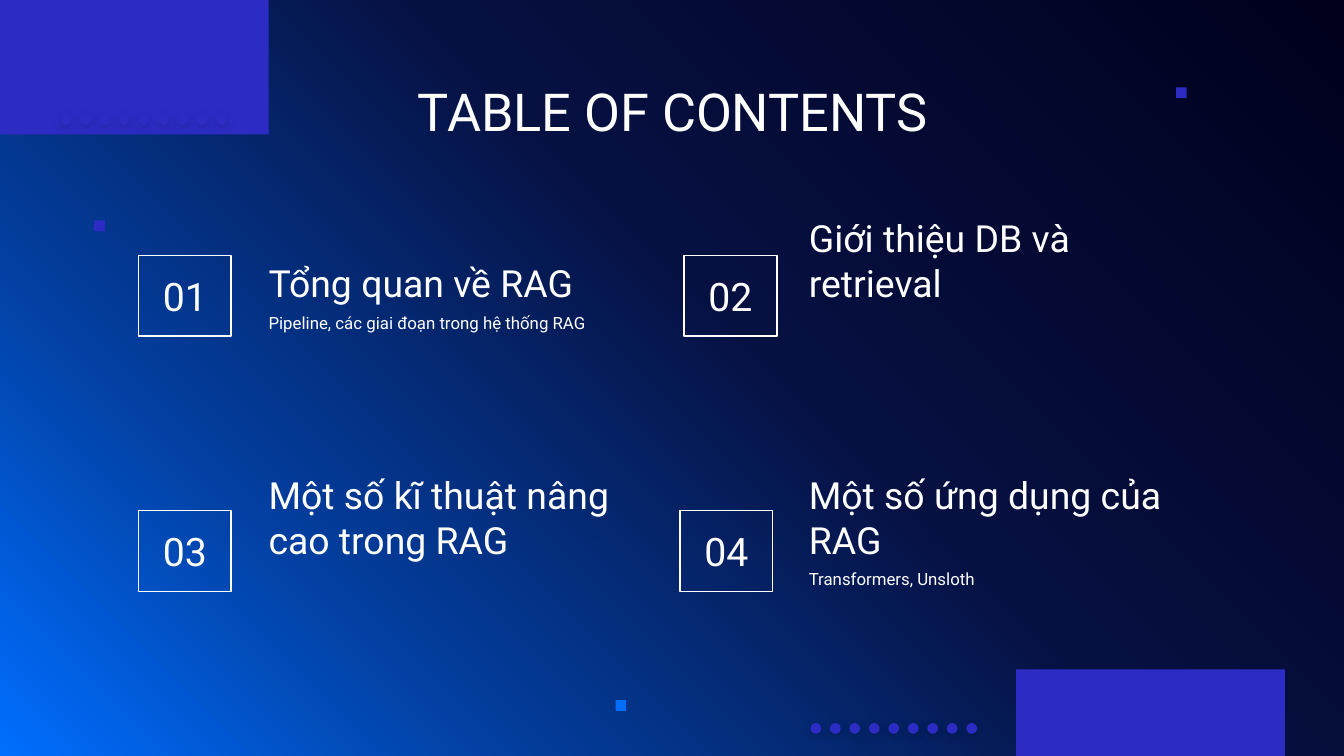
import lxml.etree
import pptx
import pptx.dml.color
import pptx.enum.shapes
import pptx.enum.text
import pptx.oxml
import pptx.oxml.ns
import pptx.util

Inches, Pt = pptx.util.Inches, pptx.util.Pt
RGBColor = pptx.dml.color.RGBColor
SHAPE = pptx.enum.shapes.MSO_SHAPE
ALIGN = pptx.enum.text.PP_ALIGN
ANCHOR = pptx.enum.text.MSO_ANCHOR
qn = pptx.oxml.ns.qn

WHITE = RGBColor(0xFF, 0xFF, 0xFF)
INDIGO = RGBColor(0x2C, 0x2C, 0xC5)
BLUE = RGBColor(0x00, 0x6E, 0xFF)
GLOW = [(0, BLUE), (24, RGBColor(0x03, 0x3F, 0xA0)),
        (56, RGBColor(0x06, 0x10, 0x41)), (100, RGBColor(0x00, 0x00, 0x1C))]
FONT = "Roboto"

# Corner panel outline: straight points, and curves as two controls and an end.
PANEL = [[(0, 0.65)], [(1.48, 0.65)], [(1.53, 0.65), (1.57, 0.63), (1.6, 0.6)],
         [(1.87, 0.33)], [(1.9, 0.3), (1.94, 0.28), (1.99, 0.28)],
         [(2.28, 0.28)], [(2.37, 0.28), (2.44, 0.21), (2.45, 0.13)],
         [(2.46, 0)]]

# Number, number box position, heading box, heading, note box, note
ENTRIES = [
    ("01", (1.03, 1.9), (1.9, 1.69, 3.04, 0.68), "Tổng quan về RAG",
     (1.9, 2.23, 3.04, 0.68), "Pipeline, các giai đoạn trong hệ thống RAG"),
    ("02", (5.09, 1.9), (5.92, 1.69, 3.04, 0.68), "Giới thiệu DB và retrieval",
     None, None),
    ("03", (1.03, 3.8), (1.9, 3.63, 3.04, 0.65),
     "Một số kĩ thuật nâng cao trong RAG", None, None),
    ("04", (5.06, 3.8), (5.92, 3.63, 3.04, 0.65), "Một số ứng dụng của RAG",
     (5.92, 4.13, 3.04, 0.68), "Transformers, Unsloth"),
]


def paint_background(s):
    """Radial glow centred on the bottom left corner."""
    fill = s.background.fill
    fill.gradient()
    grad = s.background._cSld.find(".//" + qn("a:gradFill"))
    for child in list(grad):
        grad.remove(child)
    stops = "".join(f'<a:gs pos="{pos * 1000}"><a:srgbClr val="{color}"/></a:gs>'
                    for pos, color in GLOW)
    ns = pptx.oxml.ns.nsdecls("a")
    grad.append(pptx.oxml.parse_xml(f"<a:gsLst {ns}>{stops}</a:gsLst>"))
    grad.append(pptx.oxml.parse_xml(
        f'<a:path {ns} path="circle"><a:fillToRect t="100000" r="100000"/></a:path>'))


def paint(sp, color):
    sp.shadow.inherit = False
    sp.fill.solid()
    sp.fill.fore_color.rgb = color
    sp.line.fill.background()


def bezier(start, c1, c2, end, steps=10):
    """Points along a cubic curve, without its start."""
    points = []
    for i in range(1, steps + 1):
        t = i / steps
        u = 1 - t
        points.append(tuple(u**3 * a + 3 * u * u * t * b + 3 * u * t * t * c + t**3 * d
                            for a, b, c, d in zip(start, c1, c2, end)))
    return points


def add_corner_panel(s, left, top, rotation=0):
    points = [(0, 0)]
    for step in PANEL:
        points += step if len(step) == 1 else bezier(points[-1], *step)
    builder = s.shapes.build_freeform(0, 0, scale=Inches(1))
    builder.add_line_segments(points[1:], close=True)
    sp = builder.convert_to_shape(Inches(left), Inches(top))
    sp.rotation = rotation
    paint(sp, INDIGO)


def add_mark(s, kind, left, top, color):
    sp = s.shapes.add_shape(kind, Inches(left), Inches(top), Inches(0.08), Inches(0.08))
    paint(sp, color)
    return sp


def add_dot_row(s, left, top, count=9, pitch=0.145):
    for i in range(count):
        sp = add_mark(s, SHAPE.OVAL, left + i * pitch, top, INDIGO)
        effects = sp._element.spPr.find(qn("a:effectLst"))
        shadow = lxml.etree.SubElement(
            effects, qn("a:outerShdw"), blurRad=str(Pt(4.5)), dist=str(Pt(1.5)),
            dir="5400000", algn="ctr", rotWithShape="0")
        color = lxml.etree.SubElement(shadow, qn("a:srgbClr"), val="000000")
        lxml.etree.SubElement(color, qn("a:alpha"), val="16000")


def write(sp, text, size, align=ALIGN.LEFT, anchor=ANCHOR.TOP):
    tf = sp.text_frame
    tf.word_wrap = True
    tf.auto_size = pptx.enum.text.MSO_AUTO_SIZE.NONE
    tf.vertical_anchor = anchor
    tf.margin_left = tf.margin_right = tf.margin_top = tf.margin_bottom = Inches(0.1)
    p = tf.paragraphs[0]
    p.alignment = align
    r = p.add_run()
    r.text = text
    r.font.name = FONT
    r.font.size = Pt(size)
    r.font.color.rgb = WHITE


def set_title(s, text, left, top, width, height):
    sp = s.shapes.title
    sp.left, sp.top, sp.width, sp.height = map(Inches, (left, top, width, height))
    write(sp, text, 28, ALIGN.CENTER)


def add_text(s, box, text, size, anchor=ANCHOR.TOP):
    sp = s.shapes.add_textbox(*map(Inches, box))
    write(sp, text, size, anchor=anchor)


def add_entry(s, number, corner, heading_box, heading, note_box, note):
    sp = s.shapes.add_shape(SHAPE.RECTANGLE, *map(Inches, (*corner, 0.69, 0.6)))
    sp.shadow.inherit = False
    sp.fill.background()
    sp.line.color.rgb = WHITE
    sp.line.width = Pt(0.75)
    write(sp, number, 21, ALIGN.CENTER, ANCHOR.MIDDLE)
    add_text(s, heading_box, heading, 20, ANCHOR.BOTTOM)
    if note:
        add_text(s, note_box, note, 9)


def add_decoration(s):
    add_corner_panel(s, 0, 0)
    add_corner_panel(s, 7.56, 4.98, rotation=180)
    add_dot_row(s, 0.45, 0.85)
    add_dot_row(s, 6.03, 5.38)
    for left, top, color in [(8.75, 0.65, INDIGO), (4.58, 5.21, BLUE), (0.7, 1.64, INDIGO)]:
        add_mark(s, SHAPE.RECTANGLE, left, top, color)


def main():
    prs = pptx.Presentation()
    prs.slide_width, prs.slide_height = Inches(10), Inches(10 * 9 / 16)
    s = prs.slides.add_slide(prs.slide_layouts[5])
    paint_background(s)
    add_decoration(s)
    set_title(s, "TABLE OF CONTENTS", 0.79, 0.49, 8.43, 0.63)
    for entry in ENTRIES:
        add_entry(s, *entry)
    prs.save("out.pptx")


if __name__ == "__main__":
    main()
